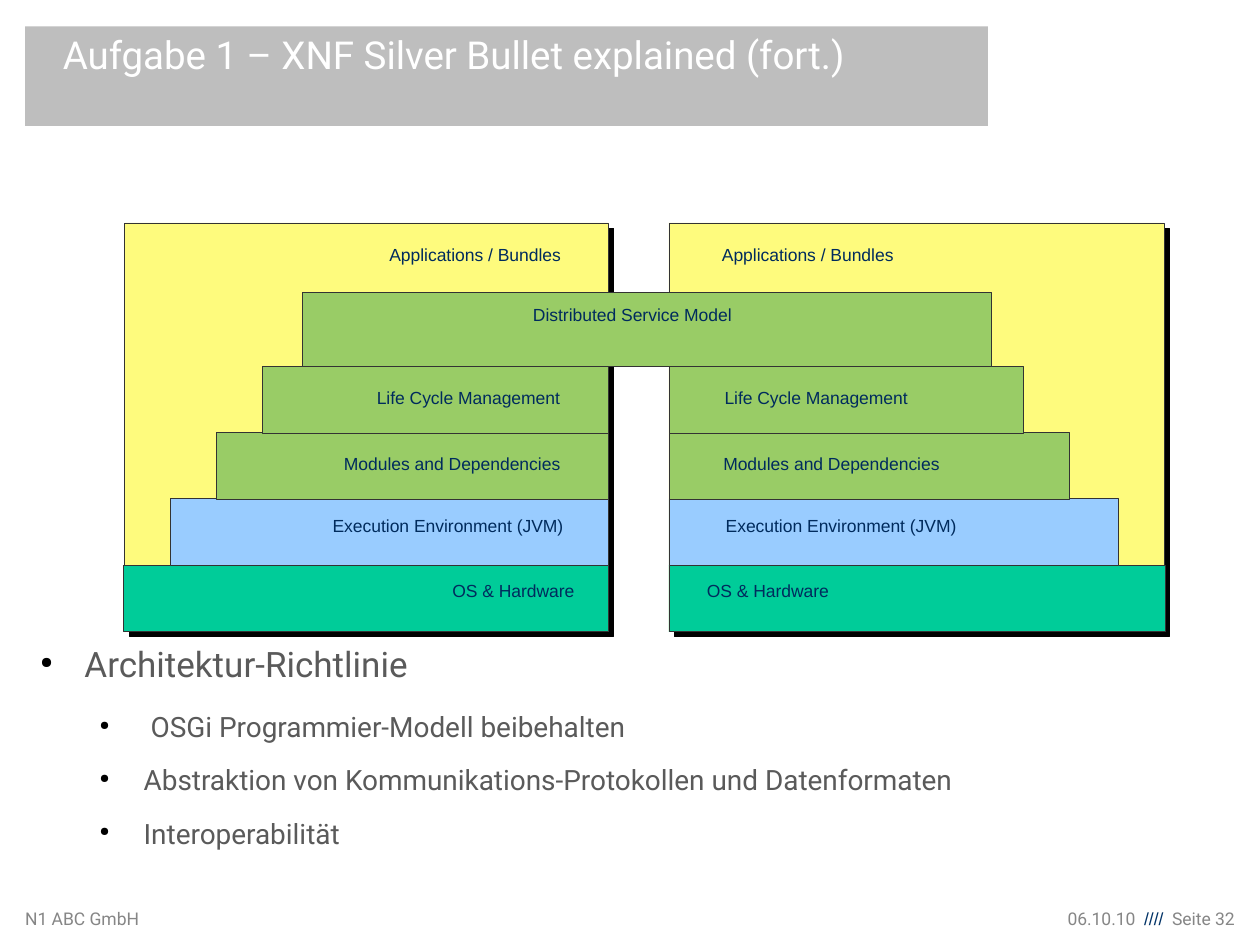
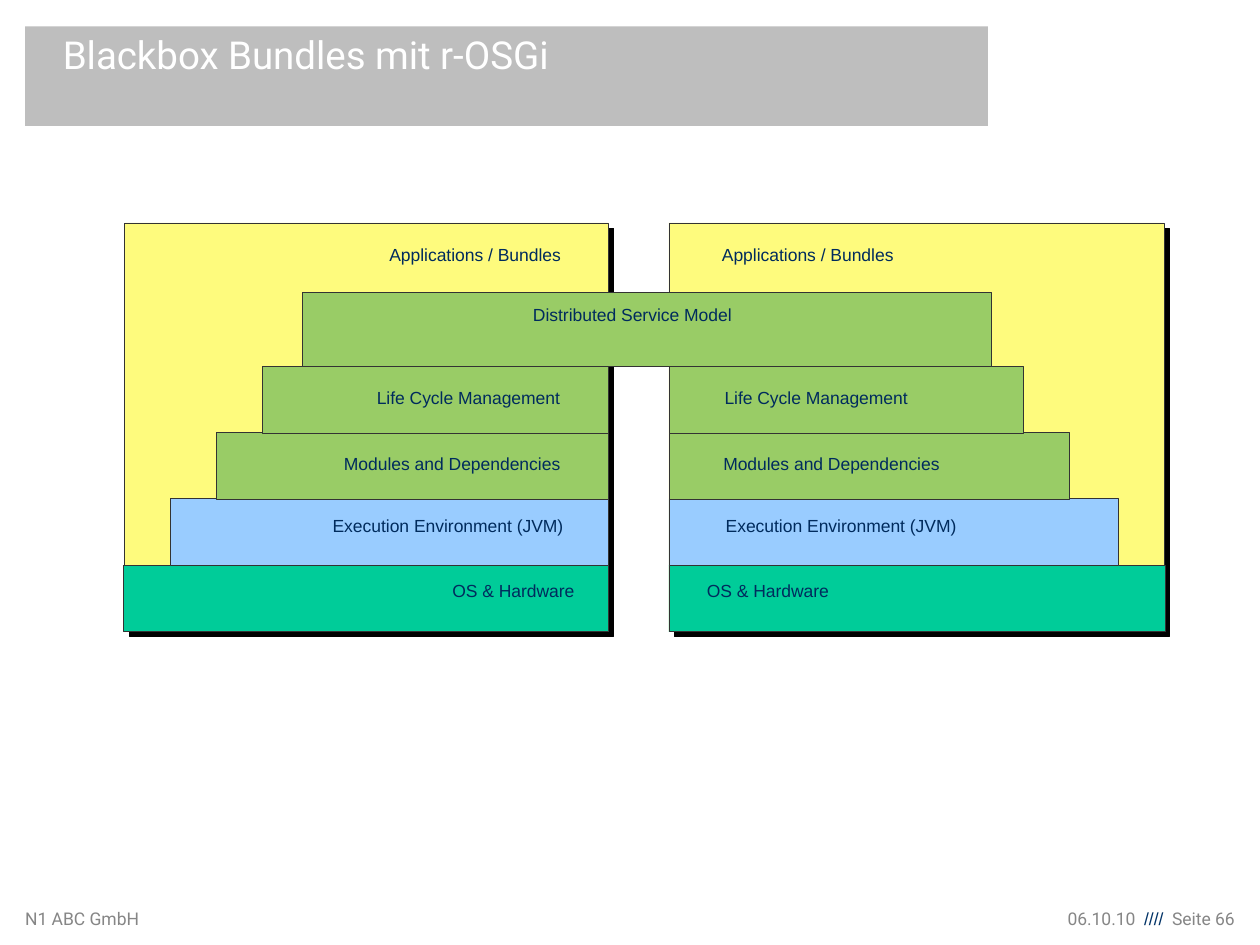
from pptx import Presentation
from pptx.dml.color import RGBColor
from pptx.enum.shapes import MSO_SHAPE
from pptx.enum.text import MSO_ANCHOR, PP_ALIGN
from pptx.oxml import parse_xml
from pptx.oxml.ns import nsdecls
from pptx.util import Inches, Pt

COLORS = {
    "band": "BEBEBE", "title": "FFFFFF", "body": "5A5A5A", "bullet": "000000",
    "footer": "868686", "slashes": "003266", "label": "002B5D",
    "outline": "333333", "shadow": "000000", "apps": "FEFB7D",
    "service": "99CC66", "runtime": "99CCFF", "hardware": "00CC99",
}

STACK_TOP, STACK_H, LAYER_STEP, LAYER_H = 1.77, 3.24, 0.525, 0.53
LABEL_H = 0.22
# From the bottom up: text, colour, label width, label offset from layer top
LAYERS = [
    ("OS & Hardware", "hardware", 1.07, 0.12),
    ("Execution Environment (JVM)", "runtime", 1.93, 0.13),
    ("Modules and Dependencies", "service", 1.81, 0.16),
    ("Life Cycle Management", "service", 1.59, 0.16),
]
# Label gaps are measured from the inner edge; the last one is for the applications
LEFT_STACK = dict(edge=4.83, side=-1, width=3.84, widths=(3.85, 3.48, 3.11, 2.75),
                  gaps=(0.17, 0.26, 0.29, 0.25, 0.28))
RIGHT_STACK = dict(edge=5.31, side=1, width=3.93, widths=(3.94, 3.57, 3.18, 2.81),
                   gaps=(0.3, 0.45, 0.43, 0.44, 0.42))

GUIDELINES = [
    (0, "Architektur-Richtlinie"),
    (1, " OSGi Programmier-Modell beibehalten"),
    (1, "Abstraktion von Kommunikations-Protokollen und Datenformaten"),
    (1, "Interoperabilität"),
]


def rgb(name):
    return RGBColor.from_string(COLORS[name])


def add_rect(s, box, fill, outline=None):
    sp = s.shapes.add_shape(MSO_SHAPE.RECTANGLE, *map(Inches, box))
    sp.shadow.inherit = False
    sp.fill.solid()
    sp.fill.fore_color.rgb = rgb(fill)
    if outline:
        sp.line.color.rgb = rgb(outline)
        sp.line.width = Pt(0.5)
    else:
        sp.line.fill.background()
    return sp


def add_hard_shadow(sp):
    effects = sp._element.spPr.find("{*}effectLst")
    effects.append(parse_xml(
        f'<a:outerShdw {nsdecls("a")} blurRad="0" dist="{Pt(4.2)}" dir="2700000" '
        f'algn="tl" rotWithShape="0"><a:srgbClr val="{COLORS["shadow"]}"/></a:outerShdw>'))


def add_textbox(s, box, insets=(0, 0, 0, 0), wrap=True):
    tf = s.shapes.add_textbox(*map(Inches, box)).text_frame
    set_frame(tf, insets, wrap)
    return tf


def set_frame(tf, insets, wrap=True):
    tf.margin_left, tf.margin_top, tf.margin_right, tf.margin_bottom = map(Inches, insets)
    tf.word_wrap = wrap
    tf.vertical_anchor = MSO_ANCHOR.TOP


def add_text(p, text, size=10, font="Roboto", color="footer"):
    r = p.add_run()
    r.text = text
    r.font.size = Pt(size)
    r.font.name = font
    r.font.color.rgb = rgb(color)


def set_bullet(p, indent, hanging):
    pPr = p._p.get_or_add_pPr()
    pPr.set("marL", str(Inches(indent)))
    pPr.set("indent", str(-Inches(hanging)))
    for xml in (f'<a:buClr {nsdecls("a")}><a:srgbClr val="{COLORS["bullet"]}"/></a:buClr>',
                f'<a:buSzPct {nsdecls("a")} val="45000"/>',
                f'<a:buChar {nsdecls("a")} char="●"/>'):
        pPr.append(parse_xml(xml))


def add_title(s, text, box=(0.2, 0.21, 7.64, 0.79)):
    tf = add_rect(s, box, "band").text_frame
    set_frame(tf, (0.1, 0.1, 0.1, 0.05))
    p = tf.paragraphs[0]
    p.alignment = PP_ALIGN.LEFT
    p.line_spacing = Pt(22)
    p._p.get_or_add_pPr().set("marL", str(Inches(0.2)))
    add_text(p, text, size=22, color="title")


def add_footer(s, page, top=7.21):
    add_text(add_textbox(s, (0.2, top, 1.97, 0.17)).paragraphs[0], "N1 ABC GmbH")
    p = add_textbox(s, (7.67, top, 2.13, 0.19)).paragraphs[0]
    p.alignment = PP_ALIGN.RIGHT
    add_text(p, "06.10.10  ")
    add_text(p, "////", font="Arial", color="slashes")
    add_text(p, f"  Seite {page}")


def add_label(s, text, left, top, width):
    tf = add_textbox(s, (left, top, width, LABEL_H), (0, 0, 0, 0.05))
    add_text(tf.paragraphs[0], text, font="Arial", color="label")


def add_stack(s, edge, side, width, widths, gaps):
    """Layers that grow from the inner edge to the left (side -1) or right (side 1)."""
    def left_of(w, gap=0):
        return edge + gap if side > 0 else edge - gap - w

    add_hard_shadow(add_rect(s, (left_of(width), STACK_TOP, width, STACK_H),
                             "apps", "outline"))
    bottom = STACK_TOP + STACK_H
    for i, (text, color, label_w, dy) in enumerate(LAYERS):
        top = bottom - (i + 1) * LAYER_STEP
        add_rect(s, (left_of(widths[i]), top, widths[i], LAYER_H), color, "outline")
        add_label(s, text, left_of(label_w, gaps[i]), top + dy, label_w)
    add_label(s, "Applications / Bundles", left_of(1.46, gaps[-1]), STACK_TOP + 0.17, 1.46)


def add_service_bridge(s, left=2.4, top=2.32):
    add_rect(s, (left, top, 5.47, 0.59), "service", "outline")
    add_label(s, "Distributed Service Model", left + 1.83, top + 0.09, 1.68)


def add_guidelines(s, box=(0.2, 5.1, 9.61, 1.8)):
    tf = add_textbox(s, box)
    for i, (level, text) in enumerate(GUIDELINES):
        p = tf.add_paragraph() if i else tf.paragraphs[0]
        p.level = level
        p.space_after = Pt(11.3 if level else 14.2)
        set_bullet(p, 0.47 * (level + 1), 0.35)
        add_text(p, text, size=16 if level else 20, color="body")


def add_architecture_slide(prs, title, page):
    s = prs.slides.add_slide(prs.slide_layouts[6])
    add_footer(s, page)
    add_title(s, title)
    add_stack(s, **LEFT_STACK)
    add_stack(s, **RIGHT_STACK)
    add_service_bridge(s)
    return s


def main():
    prs = Presentation()
    prs.slide_width, prs.slide_height = Inches(10), Inches(7.5)
    s = add_architecture_slide(prs, "Aufgabe 1 – XNF Silver Bullet explained (fort.)", 32)
    add_guidelines(s)
    add_architecture_slide(prs, "Blackbox Bundles mit r-OSGi", 66)
    prs.save("out.pptx")


if __name__ == "__main__":
    main()
